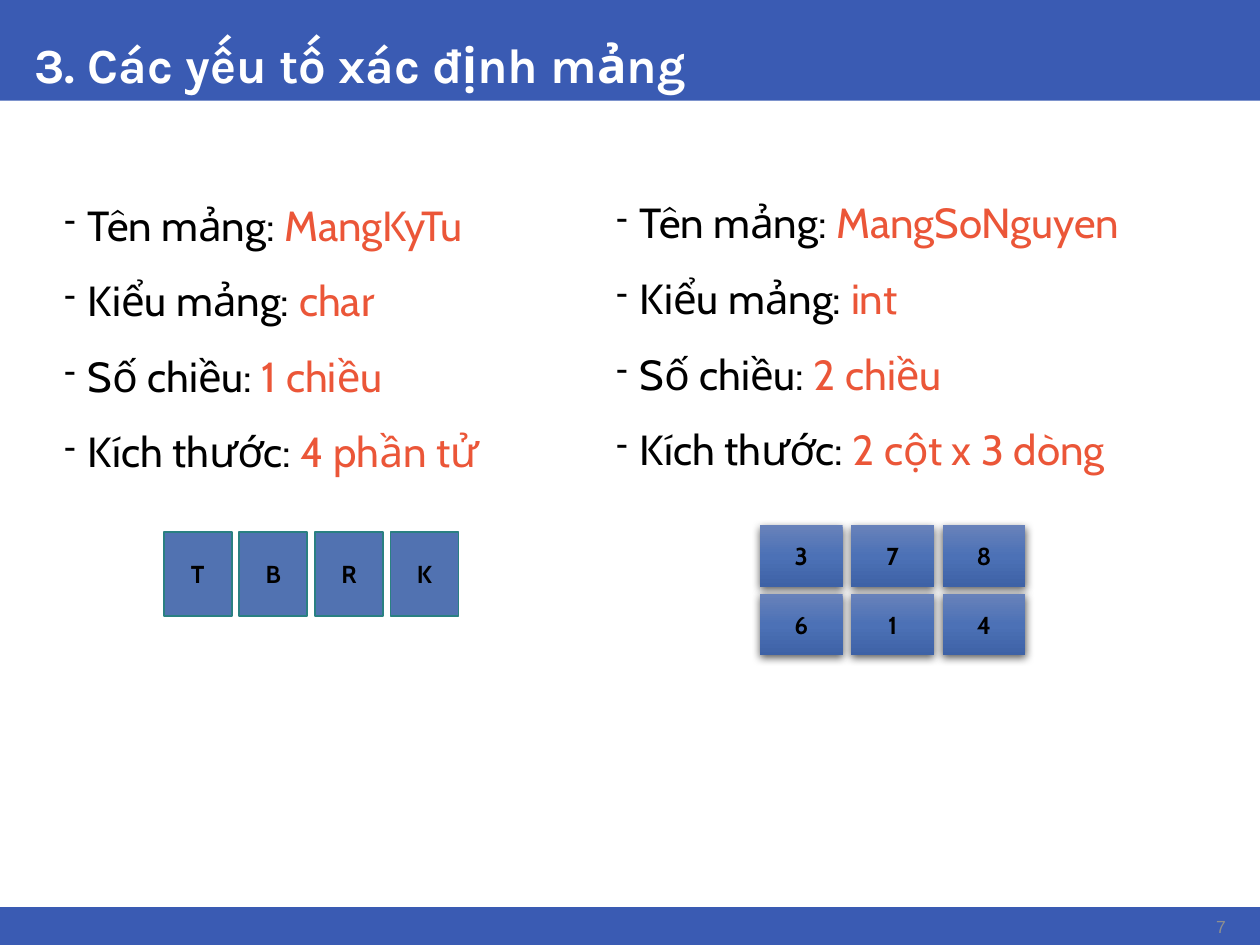
from lxml import etree
from pptx import Presentation
from pptx.dml.color import RGBColor
from pptx.enum.shapes import MSO_SHAPE
from pptx.enum.text import MSO_ANCHOR, PP_ALIGN
from pptx.oxml.ns import qn
from pptx.util import Pt

RECT = MSO_SHAPE.RECTANGLE
TOP, MIDDLE, BOTTOM = MSO_ANCHOR.TOP, MSO_ANCHOR.MIDDLE, MSO_ANCHOR.BOTTOM
LEFT, CENTER, RIGHT = PP_ALIGN.LEFT, PP_ALIGN.CENTER, PP_ALIGN.RIGHT
BAND, ACCENT, BLACK, WHITE = "3A5BB3", "EB5638", "000000", "FFFFFF"
GRADIENT = ((0, "6882BA"), (50, "4C71B6"), (100, "3E62A6"))
LABELS = ("Tên mảng", "Kiểu mảng", "Số chiều", "Kích thước")


def rgb(value):
    """Return the colour for a hex string."""
    return RGBColor.from_string(value)


def add_node(parent, tag, **attributes):
    """Append a DrawingML element with the given attributes."""
    return etree.SubElement(parent, qn(tag), {k: str(v) for k, v in attributes.items()})


def set_frame(sp, anchor, wrap=True):
    """Set the insets, anchor and wrapping of a shape and return its text frame."""
    tf = sp.text_frame
    tf.margin_left = tf.margin_right = tf.margin_top = tf.margin_bottom = Pt(3.6)
    tf.vertical_anchor = anchor
    tf.word_wrap = wrap
    return tf


def set_text(tf, text, font, size, color, bold=False, align=LEFT):
    """Write one evenly styled paragraph and return it."""
    p = tf.paragraphs[0]
    p.text = text
    p.alignment = align
    p.font.name, p.font.size, p.font.bold = font, Pt(size), bold
    p.font.color.rgb = rgb(color)
    return p


def add_rect(s, x, y, w, h, fill):
    """Add a plain filled rectangle without a line."""
    sp = s.shapes.add_shape(RECT, Pt(x), Pt(y), Pt(w), Pt(h))
    sp.shadow.inherit = False
    sp.fill.solid()
    sp.fill.fore_color.rgb = rgb(fill)
    sp.line.fill.background()
    return sp


def add_header(s, x, y, w, h, title):
    """Add the top band with the slide title."""
    add_rect(s, x, y, w, h, BAND)
    sp = s.shapes.add_textbox(Pt(x + 16), Pt(y), Pt(w - 31), Pt(h))
    p = set_text(set_frame(sp, BOTTOM), title, "Karla", 28, WHITE, True)
    p.line_spacing = 0.9


def add_footer(s, x, y, w, h, number):
    """Add the bottom band with the slide number."""
    add_rect(s, x, y, w, h, BAND)
    sp = s.shapes.add_textbox(Pt(x + w - 29), Pt(y + 1), Pt(13), Pt(h - 1.6))
    set_text(set_frame(sp, MIDDLE, False), number, "Arial", 10, "8E8F8F", align=RIGHT)


def add_facts(s, x, y, w, h, values):
    """Add the dashed list that pairs each label with its value."""
    tf = set_frame(s.shapes.add_textbox(Pt(x), Pt(y), Pt(w), Pt(h)), TOP)
    for i, (label, value) in enumerate(zip(LABELS, values)):
        p = tf.add_paragraph() if i else tf.paragraphs[0]
        p.line_spacing = 1.5
        pPr = p._p.get_or_add_pPr()
        pPr.set("marL", str(Pt(16.5)))
        pPr.set("indent", str(Pt(-13.5)))
        add_node(pPr, "a:buSzPct", val=80000)
        add_node(pPr, "a:buChar", char="-")
        p.font.name, p.font.size = "Cabin", Pt(24)
        for text, color in ((f"{label}: ", BLACK), (value, ACCENT)):
            r = p.add_run()
            r.text = text
            r.font.color.rgb = rgb(color)


def style_outlined(sp):
    """Give a cell its thin teal outline."""
    sp.line.color.rgb = rgb("2A8082")
    sp.line.width = Pt(1)


def style_raised(sp):
    """Give a cell its vertical gradient and soft shadow."""
    sp.fill.gradient()
    sp.fill.gradient_angle = 270
    spPr = sp._element.spPr
    stops = spPr.find(".//" + qn("a:gsLst"))
    stops.clear()
    for position, color in GRADIENT:
        add_node(add_node(stops, "a:gs", pos=position * 1000), "a:srgbClr", val=color)
    shadow = add_node(spPr.find(qn("a:effectLst")), "a:outerShdw", blurRad=Pt(5),
                      dist=Pt(1.5), dir=5400000, rotWithShape=0)
    add_node(add_node(shadow, "a:srgbClr", val=BLACK), "a:alpha", val=63000)


def add_cells(s, x, y, w, h, rows, gap_x, gap_y, style):
    """Fill the box with an even grid of styled array cells."""
    cell_w = (w + gap_x) / len(rows[0]) - gap_x
    cell_h = (h + gap_y) / len(rows) - gap_y
    for i, row in enumerate(rows):
        for j, value in enumerate(row):
            sp = add_rect(s, x + j * (cell_w + gap_x), y + i * (cell_h + gap_y),
                          cell_w, cell_h, "5172B1")
            style(sp)
            set_text(set_frame(sp, MIDDLE), value, "Cabin", 14, BLACK, True, CENTER)


def main():
    """Build and save the slide."""
    prs = Presentation()
    prs.slide_width, prs.slide_height = Pt(720), Pt(540)
    s = prs.slides.add_slide(prs.slide_layouts[6])
    add_header(s, 0, 0, 720, 57.6, "3. Các yếu tố xác định mảng")
    add_footer(s, 0, 518.4, 720, 21.6, "7")
    add_facts(s, 30.2, 95.8, 304.6, 409, ("MangKyTu", "char", "1 chiều", "4 phần tử"))
    add_cells(s, 93.6, 303.9, 168.5, 48.2, ["TBRK"], 4.3, 0, style_outlined)
    add_facts(s, 345.6, 94.5, 354.2, 409,
              ("MangSoNguyen", "int", "2 chiều", "2 cột x 3 dòng"))
    add_cells(s, 434.2, 300.2, 151.8, 74.4, ["378", "614"], 4.8, 4, style_raised)
    prs.save("out.pptx")


if __name__ == "__main__":
    main()
